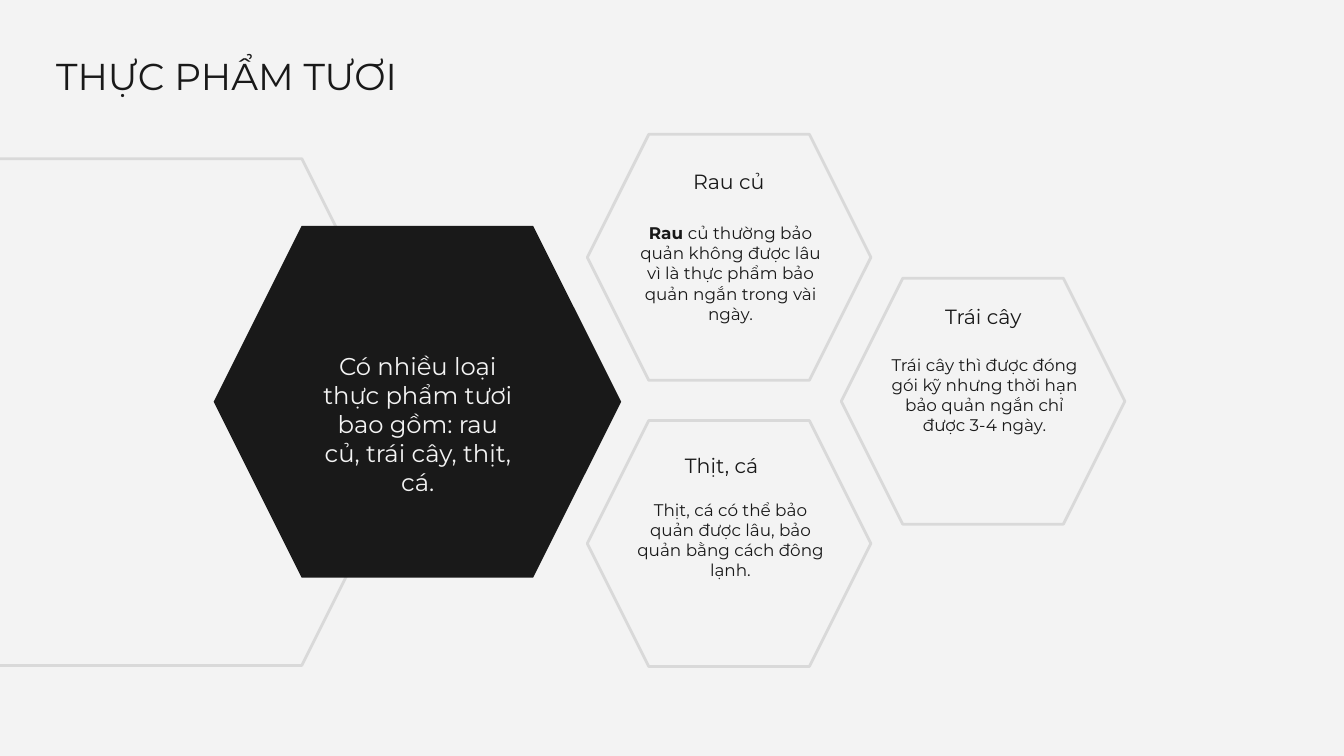
from pptx import Presentation
from pptx.dml.color import RGBColor
from pptx.enum.shapes import MSO_SHAPE
from pptx.enum.text import MSO_ANCHOR, MSO_AUTO_SIZE, PP_ALIGN
from pptx.util import Cm, Pt

COLORS = {"paper": "F3F3F3", "ink": "191919", "outline": "D9D9D9"}
FONT = "Montserrat"


def write(box, text, size, color="ink", align=PP_ALIGN.CENTER, lead="", after=0):
    """Fill a box with one paragraph, optionally opened by a bold lead."""
    frame = box.text_frame
    frame.word_wrap = True
    frame.auto_size = MSO_AUTO_SIZE.NONE
    frame.vertical_anchor = MSO_ANCHOR.TOP
    frame.margin_left = frame.margin_right = Cm(0.25)
    frame.margin_top = frame.margin_bottom = Cm(0.25)
    para = frame.paragraphs[0]
    para.alignment = align
    para.space_before, para.space_after = Pt(0), Pt(after)
    for words, bold in ((lead, True), (text, False)):
        if words:
            span = para.add_run()
            span.text = words
            span.font.name, span.font.size, span.font.bold = FONT, Pt(size), bold
            span.font.color.rgb = RGBColor.from_string(COLORS[color])


def add_hexagon(left, top, width, height, fill=None, line=None):
    hexagon = page.shapes.add_shape(
        MSO_SHAPE.HEXAGON, Cm(left), Cm(top), Cm(width), Cm(height))
    hexagon.shadow.inherit = False
    if fill:
        hexagon.fill.solid()
        hexagon.fill.fore_color.rgb = RGBColor.from_string(COLORS[fill])
    else:
        hexagon.fill.background()
    if line:
        hexagon.line.color.rgb = RGBColor.from_string(COLORS[line])
        hexagon.line.width = Pt(1.5)
    else:
        hexagon.line.fill.background()


# Deck and page
deck = Presentation()
deck.slide_width, deck.slide_height = Cm(25.4), Cm(14.29)
page = deck.slides.add_slide(deck.slide_layouts[0])
page.background.fill.solid()
page.background.fill.fore_color.rgb = RGBColor.from_string(COLORS["paper"])

# Title
title = page.shapes.title
title.left, title.top, title.width, title.height = Cm(0.81), Cm(0.76), Cm(7.29), Cm(2.62)
write(title, "THỰC PHẨM TƯƠI", 20, align=PP_ALIGN.LEFT)

# Large outline with the dark hexagon over it
add_hexagon(-2.95, 3, 11.05, 9.58, line="outline")
add_hexagon(4.04, 4.27, 7.7, 6.65, fill="ink")

# Statement, brought in front of the dark hexagon
statement = page.placeholders[1]
statement.left, statement.top = Cm(5.84), Cm(6.38)
statement.width, statement.height = Cm(4.11), Cm(1.3)
write(statement, "Có nhiều loại thực phẩm tươi bao gồm: rau củ, trái cây, thịt, cá.",
      13, color="paper")
page.shapes.element.append(statement.element)

# Food groups: hexagon left and top, heading left, top and width, body top, texts
groups = [
    (11.1, 2.54, 12.34, 2.95, 2.87, 3.96, "Rau củ", "Rau ",
     "củ thường bảo quản không được lâu vì là thực phẩm bảo quản ngắn trong vài ngày."),
    (11.1, 7.95, 11.99, 8.31, 3.3, 9.19, "Thịt, cá", "",
     "Thịt, cá có thể bảo quản được lâu, bảo quản bằng cách đông lạnh."),
    (15.9, 5.26, 17.15, 5.49, 2.87, 6.45, "Trái cây", "",
     "Trái cây thì được đóng gói kỹ nhưng thời hạn bảo quản ngắn chỉ được 3-4 ngày."),
]
for left, top, head_left, head_top, head_width, body_top, name, lead, text in groups:
    add_hexagon(left, top, 5.36, 4.65, fill="paper", line="outline")
    heading = page.shapes.add_textbox(
        Cm(head_left), Cm(head_top), Cm(head_width), Cm(0.91))
    write(heading, name, 11)
    body = page.shapes.add_textbox(Cm(left + 0.62), Cm(body_top), Cm(4.17), Cm(2.69))
    write(body, text, 9, lead=lead, after=16)

deck.save("out.pptx")
